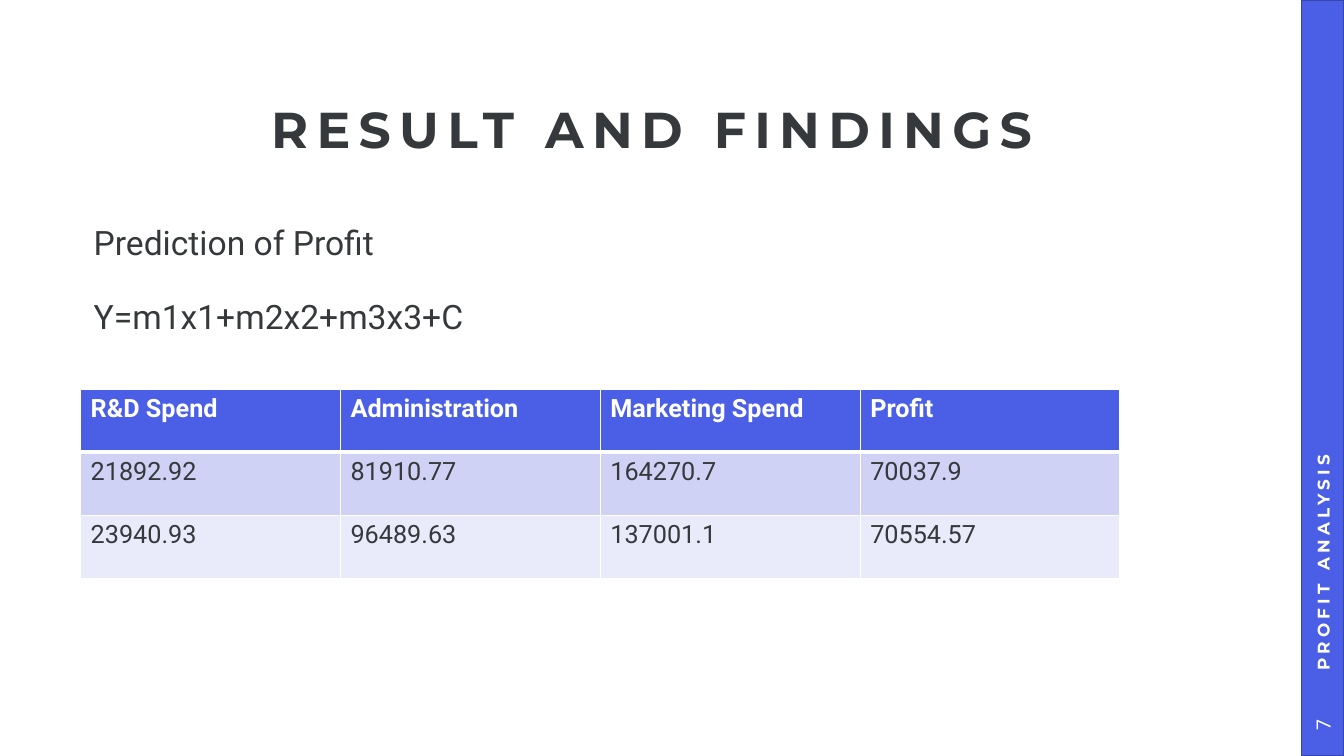
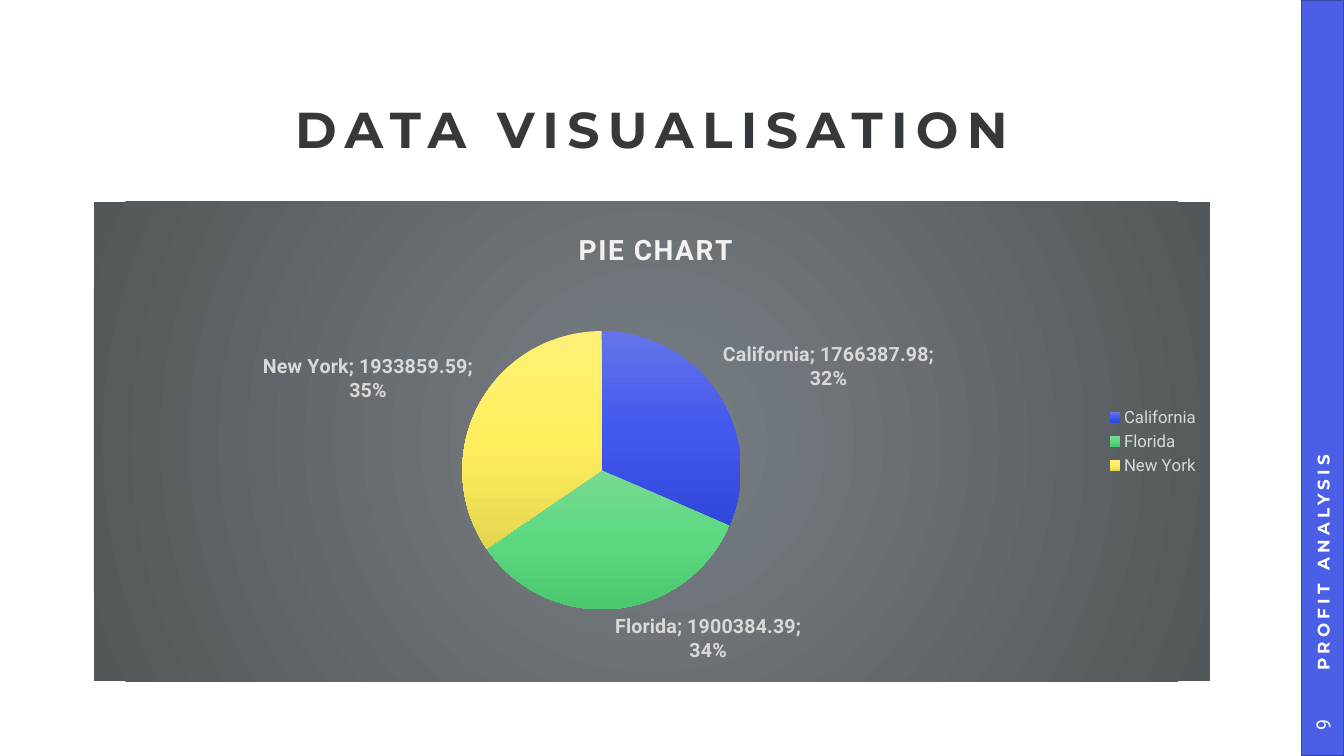
from dataclasses import dataclass

from lxml.etree import SubElement
from pptx import Presentation
from pptx.chart.data import CategoryChartData
from pptx.dml.color import RGBColor
from pptx.enum.chart import XL_CHART_TYPE, XL_LABEL_POSITION, XL_LEGEND_POSITION
from pptx.enum.shapes import MSO_SHAPE
from pptx.enum.text import MSO_ANCHOR, MSO_AUTO_SIZE, PP_ALIGN
from pptx.oxml import parse_xml
from pptx.oxml.ns import nsdecls, qn
from pptx.util import Inches, Pt


@dataclass(frozen=True)
class Theme:
    # Fonts
    heading: str = "Montserrat"
    body: str = "Roboto"
    # Colours
    ink: str = "36393B"
    white: str = "FFFFFF"
    accent: str = "4A5EE6"
    accent_edge: str = "3746AA"
    bands: tuple = ("D0D2F5", "E9EAFA")
    chart_title: str = "F2F2F2"
    chart_text: str = "D9D9D9"
    chart_back: tuple = ((0, "787F84"), (100, "52575A"))
    slices: tuple = (
        ((0, "6574EA"), (50, "4258EE"), (100, "3248DC")),
        ((0, "77D991"), (50, "5CD980"), (100, "4BC76E")),
        ((0, "FFF077"), (50, "FFEF5E"), (100, "E5D651")),
    )
    # Type sizes
    title_size: int = 36
    text_size: int = 24
    chart_title_size: int = 20
    table_size: int = 18
    label_size: int = 14
    small_size: int = 12
    chart_size: int = 10


def style_font(font, name, size, color, bold=False):
    font.name, font.size, font.bold = name, Pt(size), bold
    font.color.rgb = RGBColor.from_string(color)


def gradient(stops, radial=False):
    """Linear top-to-bottom or radial gradient fill element."""
    gs = "".join(
        f'<a:gs pos="{pos * 1000}"><a:srgbClr val="{color}"/></a:gs>' for pos, color in stops
    )
    direction = (
        '<a:path path="circle"><a:fillToRect l="50000" t="50000" r="50000" b="50000"/></a:path>'
        if radial
        else '<a:lin ang="5400000" scaled="0"/>'
    )
    return parse_xml(f'<a:gradFill {nsdecls("a")}><a:gsLst>{gs}</a:gsLst>{direction}</a:gradFill>')


def manual_layout(inner=False, **fractions):
    """Chart layout element from fractions of the chart area."""
    target = '<c:layoutTarget val="inner"/>' if inner else ""
    modes = '<c:xMode val="edge"/><c:yMode val="edge"/>'
    values = "".join(f'<c:{key} val="{value}"/>' for key, value in fractions.items())
    return parse_xml(
        f'<c:layout {nsdecls("c")}><c:manualLayout>{target}{modes}{values}'
        "</c:manualLayout></c:layout>"
    )


class Deck:
    def __init__(self, theme):
        self.theme = theme
        self.prs = Presentation()
        self.prs.slide_width, self.prs.slide_height = Inches(13.33), Inches(7.5)
        self.s = None

    def add_run(self, p, text, name, size, color, bold=False, spacing=0):
        r = p.add_run()
        r.text = text
        style_font(r.font, name, size, color, bold)
        if spacing:
            r.font._element.set("spc", str(spacing * 100))

    def slide(self, title, number):
        t = self.theme
        self.s = self.prs.slides.add_slide(self.prs.slide_layouts[5])
        self.sidebar(number)
        sp = self.s.shapes.title
        sp.left, sp.top = Inches(0.93), Inches(0.96)
        sp.width, sp.height = Inches(11.07), Inches(0.71)
        tf = sp.text_frame
        tf.auto_size = MSO_AUTO_SIZE.NONE
        tf.vertical_anchor = MSO_ANCHOR.MIDDLE
        tf.margin_left = tf.margin_right = tf.margin_top = tf.margin_bottom = 0
        p = tf.paragraphs[0]
        p.alignment, p.line_spacing = PP_ALIGN.CENTER, 0.9
        self.add_run(p, title, t.heading, t.title_size, t.ink, True, 6)

    def sidebar(self, number):
        t = self.theme
        sp = self.s.shapes.add_shape(
            MSO_SHAPE.RECTANGLE, Inches(12.91), 0, Inches(0.42), Inches(7.5)
        )
        sp.shadow.inherit = False
        sp.fill.solid()
        sp.fill.fore_color.rgb = RGBColor.from_string(t.accent)
        sp.line.color.rgb = RGBColor.from_string(t.accent_edge)
        sp.line.width = Pt(1)
        footer = self.rotated_text(9.68, 3.23, 6.88)
        footer.margin_left = Inches(0.23)
        self.add_run(
            footer.paragraphs[0], "PROFIT ANALYSIS", t.heading, t.small_size, t.white, True, 3
        )
        p = self.rotated_text(12.81, 6.98, 0.62).paragraphs[0]
        p.alignment = PP_ALIGN.CENTER
        self.add_run(p, str(number), t.body, t.label_size, t.white)

    def rotated_text(self, left, top, width):
        sp = self.s.shapes.add_textbox(Inches(left), Inches(top), Inches(width), Inches(0.42))
        sp.rotation = 270
        tf = sp.text_frame
        tf.word_wrap, tf.vertical_anchor = True, MSO_ANCHOR.MIDDLE
        return tf

    def text(self, lines, left, top, width, height):
        t = self.theme
        sp = self.s.shapes.add_textbox(Inches(left), Inches(top), Inches(width), Inches(height))
        tf = sp.text_frame
        tf.word_wrap = True
        tf.margin_left = tf.margin_right = tf.margin_top = tf.margin_bottom = 0
        for i, line in enumerate(lines):
            p = tf.add_paragraph() if i else tf.paragraphs[0]
            p.line_spacing, p.space_before = 1.5, Pt(10 if i else 0)
            self.add_run(p, line, t.body, t.text_size, t.ink)

    def cell_borders(self, cell, **widths):
        tc_pr = cell._tc.get_or_add_tcPr()
        for i, side in enumerate("LRTB"):
            ln = parse_xml(f'<a:ln{side} {nsdecls("a")} w="{Pt(widths.get(side, 1))}"/>')
            fill = SubElement(ln, qn("a:solidFill"))
            SubElement(fill, qn("a:srgbClr")).set("val", self.theme.white)
            tc_pr.insert(i, ln)

    def table(self, rows, left, top, width, height):
        t = self.theme
        table = self.s.shapes.add_table(
            len(rows), len(rows[0]), Inches(left), Inches(top), Inches(width), Inches(height)
        ).table
        for i, row in enumerate(rows):
            header = i == 0
            fill = t.accent if header else t.bands[(i - 1) % 2]
            for j, value in enumerate(row):
                cell = table.cell(i, j)
                cell.fill.solid()
                cell.fill.fore_color.rgb = RGBColor.from_string(fill)
                self.cell_borders(cell, T=3 if i == 1 else 1, B=3 if header else 1)
                color = t.white if header else t.ink
                p = cell.text_frame.paragraphs[0]
                self.add_run(p, value, t.body, t.table_size, color, header)

    def pie(self, title, values, left, top, width, height):
        t = self.theme
        data = CategoryChartData()
        data.categories = list(values)
        data.add_series("Series 1", list(values.values()))
        chart = self.s.shapes.add_chart(
            XL_CHART_TYPE.PIE, Inches(left), Inches(top), Inches(width), Inches(height), data
        ).chart
        style_font(chart.font, t.body, t.chart_size, t.ink)

        # Title
        chart.has_title = True
        heading = chart.chart_title
        p = heading.text_frame.paragraphs[0]
        self.add_run(p, title, t.body, t.chart_title_size, t.chart_title, True, 1)
        for old in heading._element.findall(qn("c:layout")):
            heading._element.remove(old)
        heading._element.find(qn("c:tx")).addnext(manual_layout(x=0.43, y=0.05))

        # Legend
        chart.has_legend = True
        chart.legend.position = XL_LEGEND_POSITION.RIGHT
        chart.legend.include_in_layout = False
        style_font(chart.legend.font, t.body, t.small_size, t.chart_text)

        # Slices
        plot = chart.plots[0]
        plot.vary_by_categories = True
        for i, stops in enumerate(t.slices):
            fmt = plot.series[0].points[i].format
            fmt.fill.background()
            fmt.line.fill.background()
            sp_pr = chart.element.xpath(".//c:dPt/c:spPr")[i]
            sp_pr.replace(sp_pr.find(qn("a:noFill")), gradient(stops, False))

        # Labels
        plot.has_data_labels = True
        labels = plot.data_labels
        labels.show_value = labels.show_percentage = labels.show_category_name = True
        labels.position = XL_LABEL_POSITION.OUTSIDE_END
        labels.number_format, labels.number_format_is_linked = "General", False
        style_font(labels.font, t.body, t.label_size, t.chart_text, True)
        separator = parse_xml(f'<c:separator {nsdecls("c")}>; </c:separator>')
        labels._element.find(qn("c:showBubbleSize")).addnext(separator)

        # Plot position and chart background
        plot_area = chart.element.find(".//" + qn("c:plotArea"))
        for old in plot_area.findall(qn("c:layout")):
            plot_area.remove(old)
        plot_area.insert(0, manual_layout(inner=True, x=0.33, y=0.27, w=0.25, h=0.58))
        back = parse_xml(f'<c:spPr {nsdecls("c", "a")}><a:ln><a:noFill/></a:ln></c:spPr>')
        back.insert(0, gradient(t.chart_back, radial=True))
        chart.element.find(qn("c:chart")).addnext(back)


def main():
    deck = Deck(Theme())

    # Prediction results
    deck.slide("RESULT AND FINDINGS", 7)
    deck.text(["Prediction of Profit", "Y=m1x1+m2x2+m3x3+C"], 0.93, 2, 11.07, 1.6)
    rows = [
        ("R&D Spend", "Administration", "Marketing Spend", "Profit"),
        ("21892.92", "81910.77", "164270.7", "70037.9"),
        ("23940.93", "96489.63", "137001.1", "70554.57"),
    ]
    deck.table(rows, 0.8, 3.86, 10.31, 1.88)

    # Profit by state
    deck.slide("DATA VISUALISATION", 9)
    profits = {"California": 1766387.98, "Florida": 1900384.39, "New York": 1933859.59}
    deck.pie("PIE CHART", profits, 0.93, 2, 11.07, 4.76)

    deck.prs.save("out.pptx")


if __name__ == "__main__":
    main()
